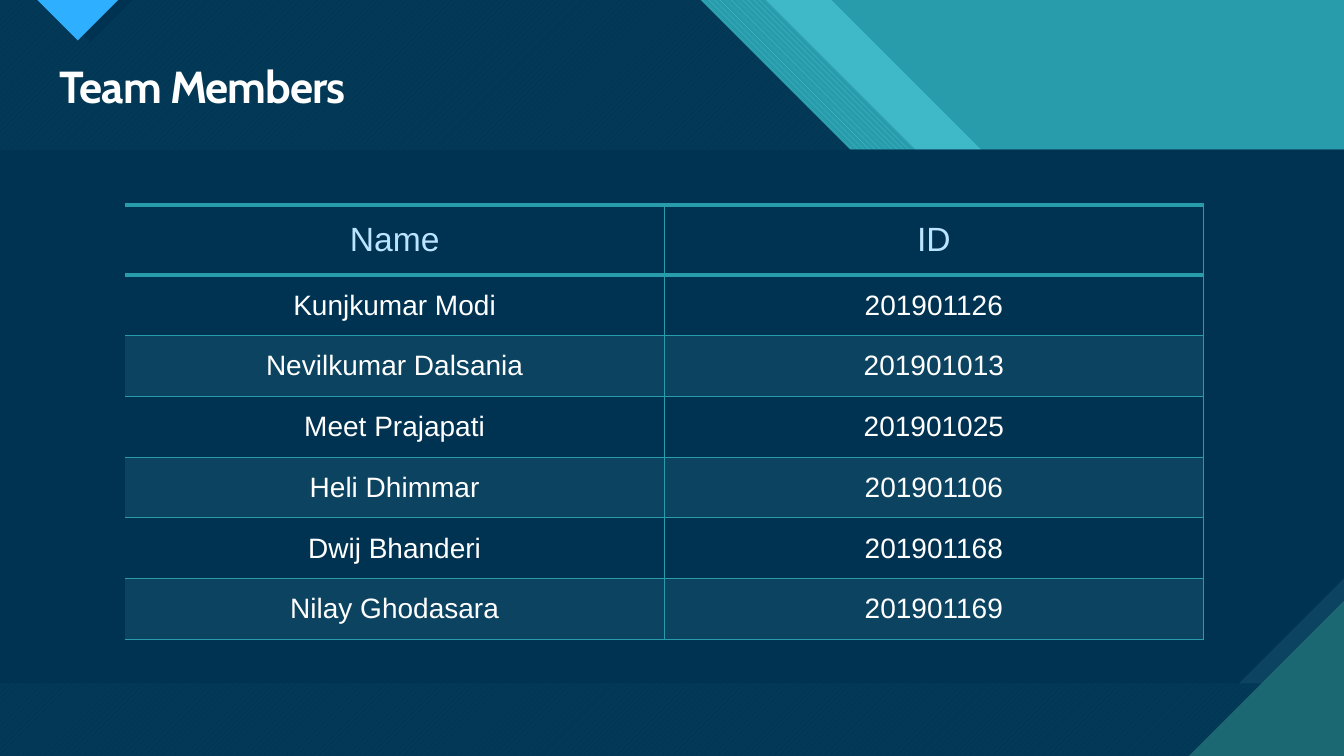
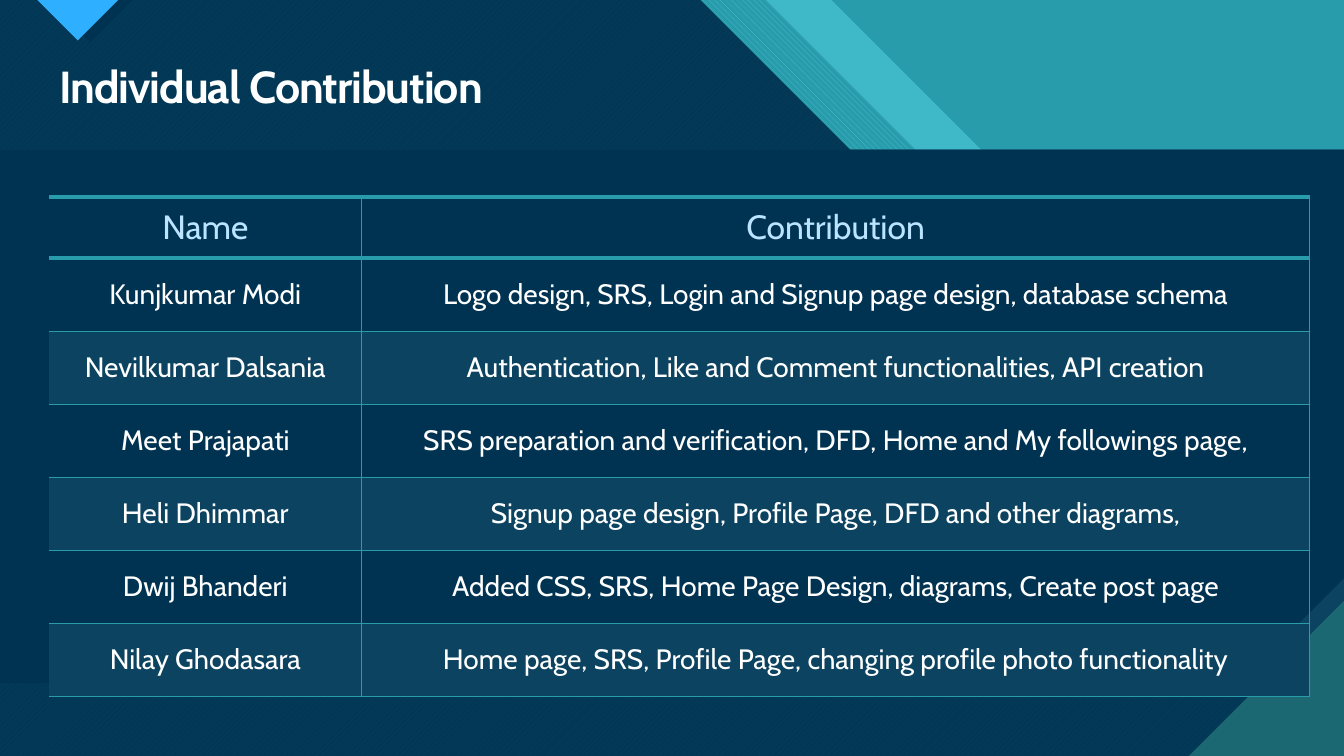
from lxml import etree
from pptx import Presentation
from pptx.dml.color import RGBColor
from pptx.enum.dml import MSO_PATTERN
from pptx.enum.shapes import MSO_SHAPE
from pptx.enum.text import MSO_ANCHOR, PP_ALIGN
from pptx.oxml.ns import qn
from pptx.util import Cm, Pt

NAVY = RGBColor(0x00, 0x33, 0x52)
STEEL = RGBColor(0x0C, 0x43, 0x60)
TEAL = RGBColor(0x29, 0x9C, 0xAB)
AQUA = RGBColor(0x47, 0xC3, 0xD3)
DARK_TEAL = RGBColor(0x1B, 0x68, 0x72)
BLUE = RGBColor(0x2F, 0xAF, 0xFF)
PALE_BLUE = RGBColor(0xBA, 0xE4, 0xFF)
WHITE = RGBColor(0xFF, 0xFF, 0xFF)

CENTER = PP_ALIGN.CENTER
MIDDLE = MSO_ANCHOR.MIDDLE
RECTANGLE = MSO_SHAPE.RECTANGLE
DOWN_STRIPES = MSO_PATTERN.WIDE_DOWNWARD_DIAGONAL
UP_STRIPES = MSO_PATTERN.WIDE_UPWARD_DIAGONAL

HEAD_FONT = "Cabin"
NO_STYLE = "{2D5ABB26-0587-4C30-8999-92F81FD0307C}"

# Lengths in centimetres
SLIDE_W, SLIDE_H = 33.87, 19.05
PANEL_TOP, PANEL_BOTTOM = 3.77, 17.22
PANEL_SNIP = 2.65
CORNER = 3.91
BAND_EDGE, BAND_STEP = 17.65, 1.65

MEMBERS = ["Kunjkumar Modi", "Nevilkumar Dalsania", "Meet Prajapati",
           "Heli Dhimmar", "Dwij Bhanderi", "Nilay Ghodasara"]
IDS = ["201901126", "201901013", "201901025",
       "201901106", "201901168", "201901169"]
CONTRIBUTIONS = [
    "Logo design, SRS, Login and Signup page design, database schema",
    "Authentication, Like and Comment functionalities, API creation",
    "SRS preparation and verification, DFD, Home and My followings page,",
    "Signup page design, Profile Page, DFD and other diagrams,",
    "Added CSS, SRS, Home Page Design, diagrams, Create post page",
    "Home page, SRS, Profile Page, changing profile photo functionality",
]


def put_text(tf, text, size, color, font=HEAD_FONT, bold=False, align=None,
             line_spacing=None, tracking=None):
    p = tf.paragraphs[0]
    p.alignment = align
    p.line_spacing = line_spacing
    r = p.add_run()
    r.text = text
    r.font.size = Pt(size)
    r.font.name = font
    r.font.bold = bold
    r.font.color.rgb = color
    if tracking is not None:
        r._r.get_or_add_rPr().set("spc", str(round(tracking * 100)))


def paint(sp, color, opacity=None, pattern=None, back=None):
    sp.shadow.inherit = False
    sp.line.fill.background()
    if pattern is not None:
        sp.fill.patterned()
        sp.fill.pattern = pattern
        sp.fill.fore_color.rgb = color
        sp.fill.back_color.rgb = back
        return
    sp.fill.solid()
    sp.fill.fore_color.rgb = color
    if opacity is not None:
        clr = sp._element.spPr.find(qn("a:solidFill"))[0]
        etree.SubElement(clr, qn("a:alpha")).set("val", str(opacity * 1000))


def add_polygon(s, points, color, **fill):
    pts = [(Cm(x), Cm(y)) for x, y in points]
    builder = s.shapes.build_freeform(*pts[0], scale=1.0)
    builder.add_line_segments(pts[1:], close=True)
    paint(builder.convert_to_shape(), color, **fill)


def add_field(s, edge, color, **fill):
    """Fill the slide left of a 45 degree line that starts at edge on top."""
    points = [(0, 0), (edge, 0), (SLIDE_W, SLIDE_W - edge),
              (SLIDE_W, SLIDE_H), (0, SLIDE_H)]
    add_polygon(s, points, color, **fill)


def add_pointer(s, left, width, color):
    add_polygon(s, [(left, 0), (left + width, 0),
                    (left + width / 2, width / 2)], color)


def add_backdrop(s):
    s.background.fill.solid()
    s.background.fill.fore_color.rgb = TEAL
    add_field(s, BAND_EDGE + 2 * BAND_STEP, AQUA, opacity=74)
    add_field(s, BAND_EDGE + BAND_STEP, AQUA, pattern=DOWN_STRIPES, back=TEAL)
    add_field(s, BAND_EDGE, AQUA, pattern=UP_STRIPES, back=DARK_TEAL)
    add_field(s, BAND_EDGE, NAVY, opacity=90)

    add_pointer(s, 1.22, 2.11, NAVY)
    add_pointer(s, 0.94, 2.04, BLUE)

    panel = s.shapes.add_shape(RECTANGLE, 0, Cm(PANEL_TOP), Cm(SLIDE_W),
                               Cm(PANEL_BOTTOM - PANEL_TOP))
    paint(panel, STEEL)
    add_polygon(s, [(0, PANEL_TOP), (SLIDE_W, PANEL_TOP),
                    (SLIDE_W, PANEL_BOTTOM - PANEL_SNIP),
                    (SLIDE_W - PANEL_SNIP, PANEL_BOTTOM),
                    (0, PANEL_BOTTOM)], NAVY)
    add_polygon(s, [(SLIDE_W - CORNER, SLIDE_H), (SLIDE_W, SLIDE_H),
                    (SLIDE_W, SLIDE_H - CORNER)], DARK_TEAL)


def add_title(s, text):
    box = s.shapes.add_textbox(Cm(1.24), Cm(1.5), Cm(31.14), Cm(1.5))
    tf = box.text_frame
    tf.word_wrap = True
    tf.vertical_anchor = MIDDLE
    put_text(tf, text, 32, WHITE, bold=True, line_spacing=0.9, tracking=-0.7)


def set_borders(cell, **widths):
    """Draw the sides L, R, T, B with widths in points; 0 means no line."""
    tcPr = cell._tc.get_or_add_tcPr()
    for side in "LRTB":
        ln = etree.SubElement(tcPr, qn("a:ln" + side))
        ln.set("w", str(Pt(widths[side])))
        if widths[side]:
            fill = etree.SubElement(ln, qn("a:solidFill"))
            etree.SubElement(fill, qn("a:srgbClr")).set("val", str(TEAL))
        else:
            etree.SubElement(ln, qn("a:noFill"))


def add_member_table(s, left, top, col_widths, head_height, row_height,
                     rows, font):
    height = head_height + row_height * (len(rows) - 1)
    frame = s.shapes.add_table(len(rows), len(col_widths), Cm(left), Cm(top),
                               Cm(sum(col_widths)), Cm(height))
    table = frame.table
    table.first_row = table.horz_banding = False
    table._tbl.tblPr.find(qn("a:tableStyleId")).text = NO_STYLE
    for col, width in zip(table.columns, col_widths):
        col.width = Cm(width)
    for i, values in enumerate(rows):
        head = i == 0
        table.rows[i].height = Cm(head_height if head else row_height)
        for j, value in enumerate(values):
            cell = table.cell(i, j)
            set_borders(cell, L=1 if j else 0, R=1, T=3 if i < 2 else 1,
                        B=3 if head else 1)
            if i and i % 2 == 0:
                cell.fill.solid()
                cell.fill.fore_color.rgb = STEEL
            else:
                cell.fill.background()
            cell.vertical_anchor = MIDDLE
            cell.margin_top = cell.margin_bottom = 0
            cell.margin_left = cell.margin_right = Cm(0.18)
            put_text(cell.text_frame, value, 24 if head else 20,
                     PALE_BLUE if head else WHITE, font=font, align=CENTER)


def add_table_slide(prs, title, **table):
    s = prs.slides.add_slide(prs.slide_layouts[6])
    add_backdrop(s)
    add_title(s, title)
    add_member_table(s, **table)


def main():
    prs = Presentation()
    prs.slide_width, prs.slide_height = Cm(SLIDE_W), Cm(SLIDE_H)
    add_table_slide(prs, "Team Members", left=3.15, top=5.16,
                    col_widths=[13.59, 13.59], head_height=1.77,
                    row_height=1.53, font="Arial",
                    rows=[("Name", "ID"), *zip(MEMBERS, IDS)])
    add_table_slide(prs, "Individual Contribution", left=1.24, top=4.97,
                    col_widths=[7.87, 23.9], head_height=1.54,
                    row_height=1.84, font=HEAD_FONT,
                    rows=[("Name", "Contribution"),
                          *zip(MEMBERS, CONTRIBUTIONS)])
    prs.save("out.pptx")


if __name__ == "__main__":
    main()
